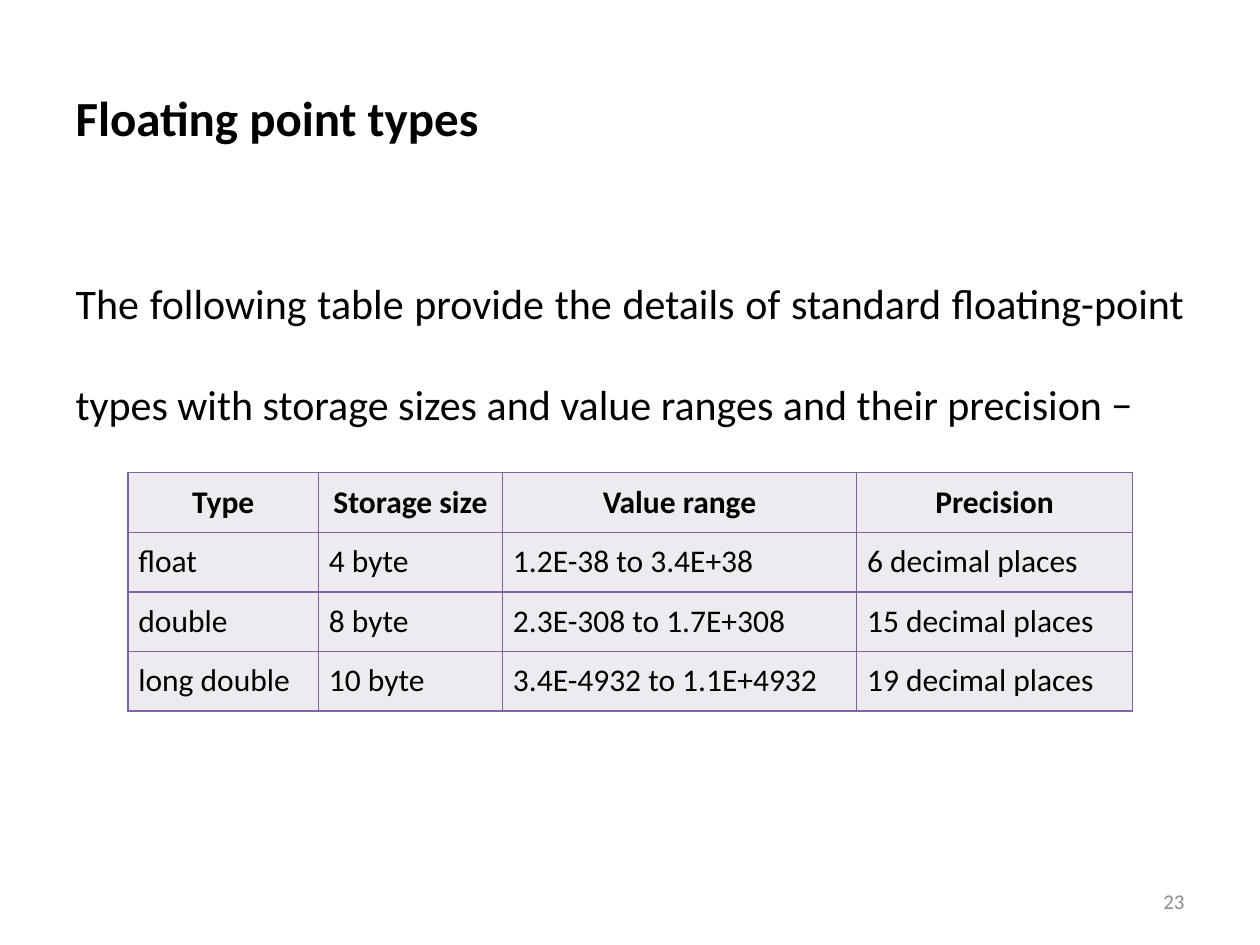
from dataclasses import dataclass

from lxml.etree import SubElement
from pptx import Presentation
from pptx.dml.color import RGBColor
from pptx.enum.text import MSO_ANCHOR, PP_ALIGN
from pptx.oxml.ns import qn
from pptx.util import Cm, Pt


@dataclass(frozen=True)
class Theme:
    font: str = "Calibri"
    text: str = "000000"
    muted: str = "8C8C8C"
    cell_fill: str = "EDEAF0"
    border: str = "8064A2"
    title_size: int = 28
    body_size: int = 24
    table_size: int = 18
    number_size: int = 12


theme = Theme()


def write(text_frame, text, size, align=PP_ALIGN.LEFT, bold=False, color=theme.text):
    text_frame.text = text
    paragraph = text_frame.paragraphs[0]
    paragraph.alignment = align
    font = paragraph.runs[0].font
    font.name, font.size, font.bold = theme.font, Pt(size), bold
    font.color.rgb = RGBColor.from_string(color)
    return paragraph


def add_borders(cell):
    properties = cell._tc.get_or_add_tcPr()
    for index, side in enumerate(("a:lnL", "a:lnR", "a:lnT", "a:lnB")):
        line = properties.makeelement(qn(side), {"w": str(Pt(1))})
        fill = SubElement(line, qn("a:solidFill"))
        SubElement(fill, qn("a:srgbClr"), val=theme.border)
        properties.insert(index, line)


presentation = Presentation()
presentation.slide_width, presentation.slide_height = Cm(25.4), Cm(19.05)
slide = presentation.slides.add_slide(presentation.slide_layouts[1])

# Title
title = slide.shapes.title
title.left, title.top, title.width, title.height = Cm(1.27), Cm(0.76), Cm(22.86), Cm(3.18)
title.text_frame.vertical_anchor = MSO_ANCHOR.MIDDLE
write(title.text_frame, "Floating point types", theme.title_size, bold=True)

# Introduction, without a bullet
body = slide.placeholders[1]
body.left, body.top, body.width, body.height = Cm(1.27), Cm(4.45), Cm(22.86), Cm(12.57)
introduction = write(
    body.text_frame,
    "The following table provide the details of standard floating-point types "
    "with storage sizes and value ranges and their precision \u2212",
    theme.body_size,
    PP_ALIGN.JUSTIFY,
)
introduction.level = 1
introduction.line_spacing = 2.0
paragraph_properties = introduction._p.get_or_add_pPr()
paragraph_properties.set("marL", "0")
paragraph_properties.set("indent", "0")
SubElement(paragraph_properties, qn("a:buNone"))

# Table of types
rows = [
    ("Type", "Storage size", "Value range", "Precision"),
    ("float", "4 byte", "1.2E-38 to 3.4E+38", "6 decimal places"),
    ("double", "8 byte", "2.3E-308 to 1.7E+308", "15 decimal places"),
    ("long double", "10 byte", "3.4E-4932 to 1.1E+4932", "19 decimal places"),
]
column_widths = [Cm(3.84), Cm(3.71), Cm(7.14), Cm(5.56)]
row_height = Cm(1.2)
table = slide.shapes.add_table(
    len(rows), len(column_widths), Cm(2.58), Cm(9.53),
    sum(column_widths), row_height * len(rows),
).table
table.first_row = table.horz_banding = False
for column, width in zip(table.columns, column_widths):
    column.width = width
for row_index, values in enumerate(rows):
    table.rows[row_index].height = row_height
    is_header = row_index == 0
    for column_index, value in enumerate(values):
        cell = table.cell(row_index, column_index)
        cell.margin_left = cell.margin_right = Cm(0.21)
        cell.margin_top = cell.margin_bottom = Cm(0.21)
        cell.fill.solid()
        cell.fill.fore_color.rgb = RGBColor.from_string(theme.cell_fill)
        add_borders(cell)
        align = PP_ALIGN.CENTER if is_header else PP_ALIGN.LEFT
        write(cell.text_frame, value, theme.table_size, align, is_header)

# Slide number
number = slide.shapes.add_textbox(Cm(18.2), Cm(17.65), Cm(5.93), Cm(1.02))
number.text_frame.word_wrap = True
number.text_frame.vertical_anchor = MSO_ANCHOR.MIDDLE
write(number.text_frame, "23", theme.number_size, PP_ALIGN.RIGHT, color=theme.muted)

presentation.save("out.pptx")
